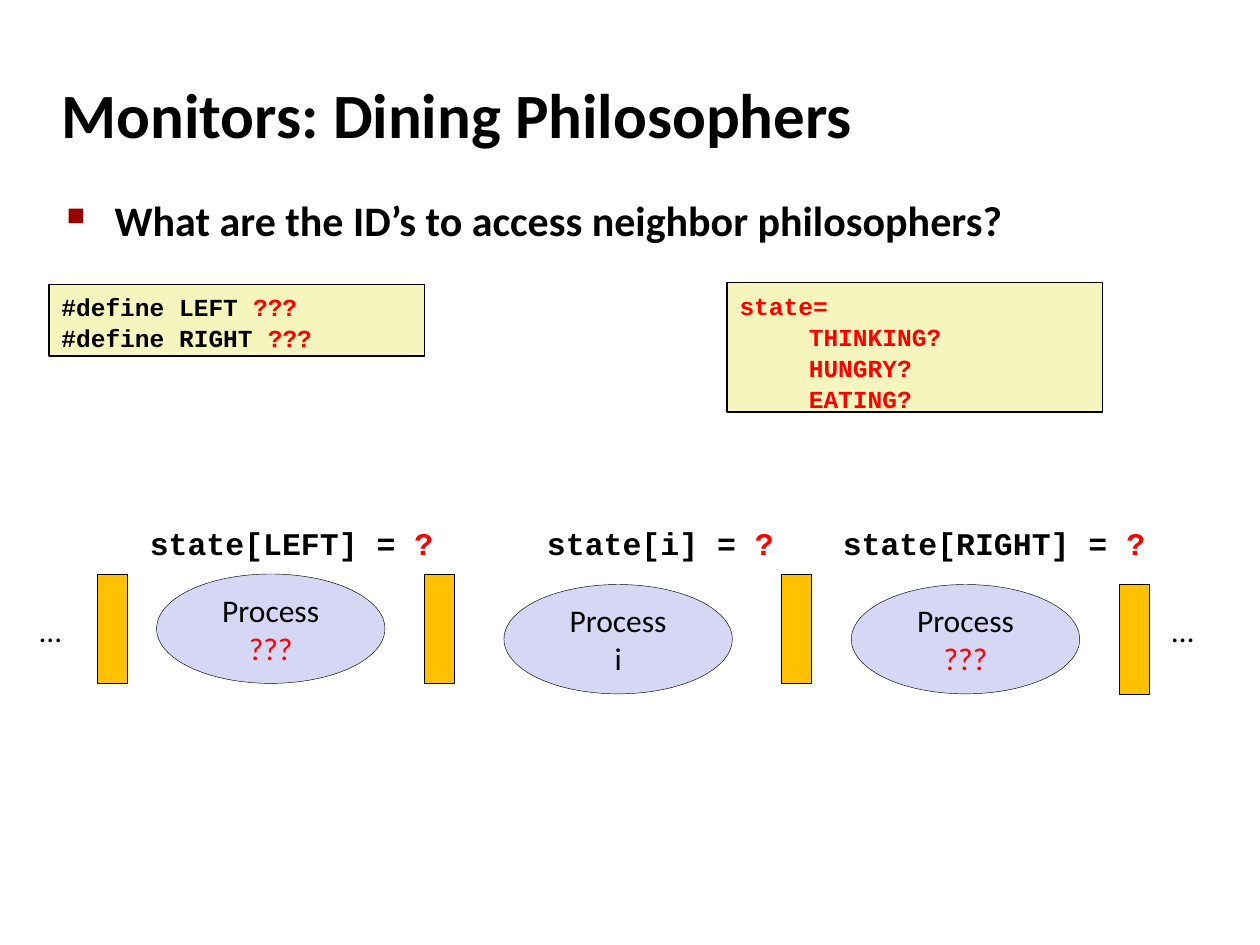
from lxml import etree
from pptx import Presentation
from pptx.dml.color import RGBColor
from pptx.enum.shapes import MSO_SHAPE
from pptx.enum.text import MSO_ANCHOR, PP_ALIGN
from pptx.oxml.ns import qn
from pptx.util import Pt

RECTANGLE, ELLIPSE = MSO_SHAPE.RECTANGLE, MSO_SHAPE.OVAL
TOP, MIDDLE = MSO_ANCHOR.TOP, MSO_ANCHOR.MIDDLE
LEFT, CENTER = PP_ALIGN.LEFT, PP_ALIGN.CENTER
SANS, MONO = "Calibri", "Courier New"
BLACK, RED, BULLET_RED = "000000", "FF0000", "990000"
CODE_FILL, PROCESS_FILL, FORK_FILL = "F6F5BD", "D6D6F5", "FFC000"
CODE_SPACING = 1.06
CODE_FORMAT = {"font": MONO, "bold": True, "spacing": CODE_SPACING}


def rgb(value):
    return RGBColor.from_string(value)


def set_text(shape, paragraphs, size=18, font=SANS, bold=False, align=LEFT,
             anchor=TOP, wrap=False, spacing=None):
    """Write paragraphs, each a list of (text, colour) runs; "\\n" breaks a line."""
    frame = shape.text_frame
    frame.word_wrap = wrap
    frame.vertical_anchor = anchor
    for index, runs in enumerate(paragraphs):
        paragraph = frame.paragraphs[0] if index == 0 else frame.add_paragraph()
        paragraph.alignment = align
        if spacing:
            paragraph.line_spacing = spacing
        for text, color in runs:
            if text == "\n":
                paragraph.add_line_break()
                continue
            run = paragraph.add_run()
            run.text = text
            run.font.size = Pt(size)
            run.font.name = font
            run.font.bold = bold
            run.font.color.rgb = rgb(color)


def add_text(slide, left, top, width, height, paragraphs, **text_format):
    box = slide.shapes.add_textbox(Pt(left), Pt(top), Pt(width), Pt(height))
    set_text(box, paragraphs, **text_format)
    return box


def add_box(slide, kind, left, top, width, height, fill, line_width=0.25):
    shape = slide.shapes.add_shape(kind, Pt(left), Pt(top), Pt(width), Pt(height))
    shape.shadow.inherit = False
    shape.fill.solid()
    shape.fill.fore_color.rgb = rgb(fill)
    shape.line.color.rgb = rgb(BLACK)
    shape.line.width = Pt(line_width)
    return shape


def add_code(slide, left, top, height, paragraphs):
    box = add_box(slide, RECTANGLE, left, top, 214.5, height, CODE_FILL, 0.75)
    set_text(box, paragraphs, size=14, wrap=True, **CODE_FORMAT)
    for paragraph in box.text_frame.paragraphs:
        properties = paragraph._p.get_or_add_pPr()
        tabs = etree.SubElement(properties, qn("a:tabLst"))
        etree.SubElement(tabs, qn("a:tab"), pos=str(Pt(39.6)), algn="l")


def add_process(slide, left, top, name, color):
    ellipse = add_box(slide, ELLIPSE, left, top, 130.5, 62.5, PROCESS_FILL)
    set_text(ellipse, [[("Process", BLACK), ("\n", BLACK), (name, color)]],
             align=CENTER, anchor=MIDDLE)


def add_bullet(paragraph):
    paragraph.space_before = Pt(6)
    properties = paragraph._p.get_or_add_pPr()
    properties.set("marL", str(Pt(27.4)))
    properties.set("indent", str(-Pt(27.4)))
    color = etree.SubElement(properties, qn("a:buClr"))
    etree.SubElement(color, qn("a:srgbClr"), val=BULLET_RED)
    etree.SubElement(properties, qn("a:buSzPct"), val="60000")
    etree.SubElement(properties, qn("a:buChar"), char="■")


def main():
    presentation = Presentation()
    presentation.slide_width, presentation.slide_height = Pt(720), Pt(540)
    slide = presentation.slides.add_slide(presentation.slide_layouts[5])

    # Title and question
    title = slide.shapes.title
    title.left, title.top, title.width, title.height = Pt(28), Pt(34.5), Pt(598), Pt(60)
    set_text(title, [[("Monitors: Dining Philosophers", BLACK)]],
             size=36, bold=True, anchor=MIDDLE, wrap=True)
    question = add_text(
        slide, 31, 107.5, 622, 54,
        [[("What are the ID’s to access neighbor philosophers?", BLACK)]],
        size=24, bold=True, wrap=True)
    add_bullet(question.text_frame.paragraphs[0])

    # Code boxes
    add_code(slide, 28, 162.5, 41, [[(f"#define {side} ", BLACK), ("???", RED)]
                                    for side in ("LEFT", "RIGHT")])
    states = ("state=", "\tTHINKING?", "\tHUNGRY?", "\tEATING?")
    add_code(slide, 415.5, 161.5, 74, [[(state, RED)] for state in states])

    # Philosophers, with the forks between them
    high, low = 328, 334
    for left, top, name, color in ((89.5, high, "???", RED), (288, low, "i", BLACK),
                                   (486.5, low, "???", RED)):
        add_process(slide, left, top, name, color)
    for left, top in ((55.5, high), (242.5, high), (446.5, high), (639.5, low)):
        add_box(slide, RECTANGLE, left, top, 17.3, 62.5, FORK_FILL)
    for left in (15.5, 662.5):
        add_text(slide, left, 345.5, 27, 29, [[("…", BLACK)]])

    # State labels
    for left, width, index in ((78.5, 176.5, "LEFT"), (305.5, 144, "i"),
                               (474.5, 187.5, "RIGHT")):
        add_text(slide, left, 294.5, width, 29,
                 [[(f"state[{index}] = ", BLACK), ("?", RED)]], **CODE_FORMAT)

    presentation.save("out.pptx")


if __name__ == "__main__":
    main()
